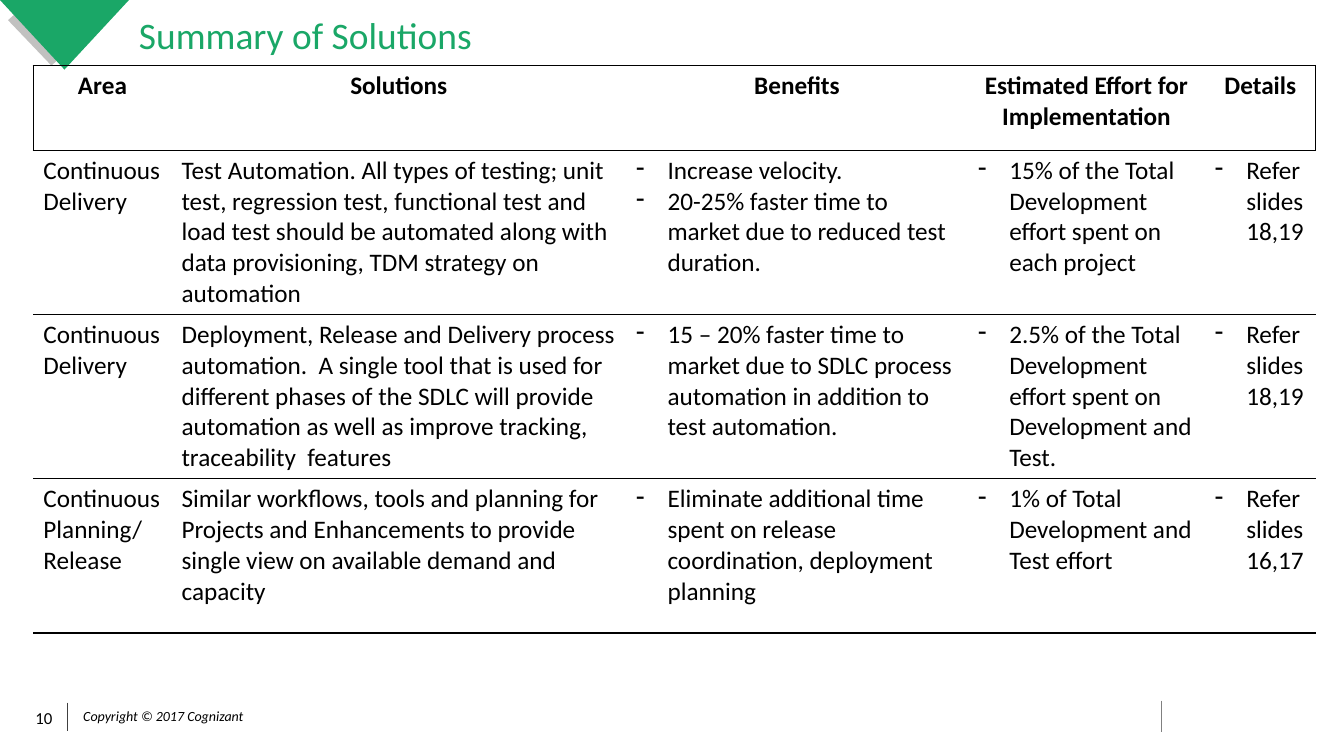
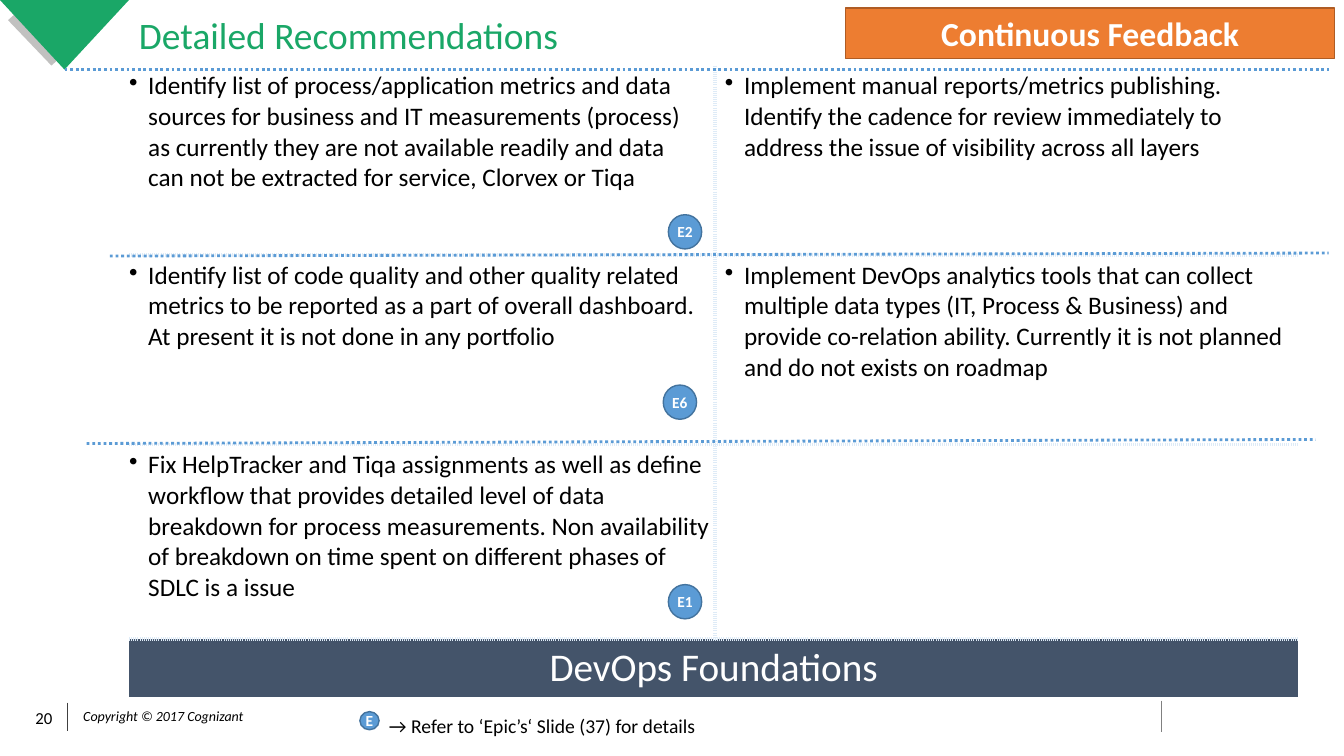
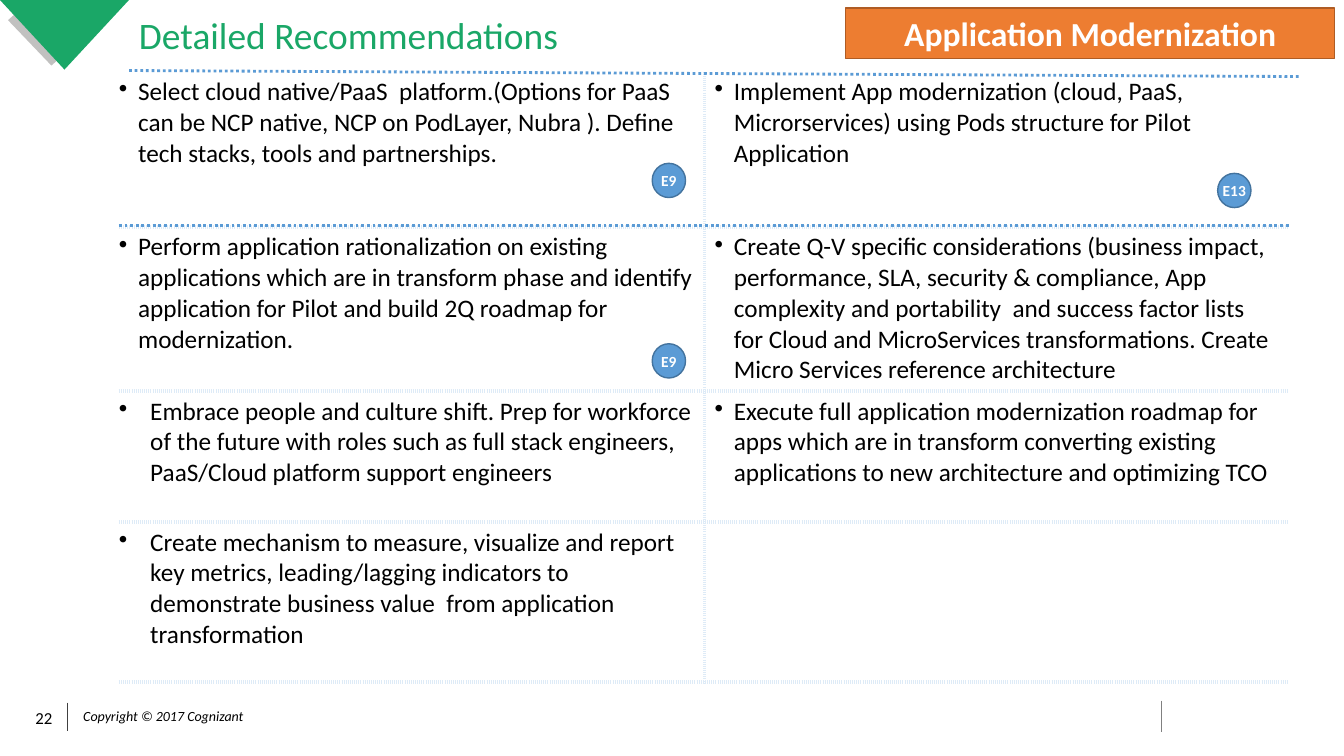
from dataclasses import dataclass, replace
from typing import NamedTuple, Optional, Sequence

from lxml.etree import SubElement
from pptx import Presentation
from pptx.dml.color import RGBColor
from pptx.enum.dml import MSO_LINE
from pptx.enum.shapes import MSO_CONNECTOR, MSO_SHAPE
from pptx.enum.text import MSO_ANCHOR as Anchor, PP_ALIGN as Align
from pptx.oxml.ns import qn
from pptx.util import Inches, Pt

WIDTH, HEIGHT = Inches(13.33), Inches(7.5)
FONT = "Calibri"
BLACK, WHITE = "000000", "FFFFFF"
GREEN, SHADE = "1AA767", "C1C1C0"
BLUE, BLUE_EDGE, PALE_BLUE = "5B9BD5", "43739E", "DEEBF7"
ORANGE, ORANGE_EDGE, SLATE = "ED7D31", "AF5C24", "44546A"
NO_TABLE_STYLE = "{2D5ABB26-0587-4C30-8999-92F81FD0307C}"
CELL_INSETS = (0.1, 0.05, 0.1, 0.05)


class Area(NamedTuple):
    """A rectangle in percent of the slide's width and height."""
    left: float
    top: float
    width: float
    height: float


class Rule(NamedTuple):
    """A straight line in percent of the slide's width and height."""
    x1: float
    y1: float
    x2: float
    y2: float


class Badge(NamedTuple):
    label: str
    left: float
    top: float


@dataclass(frozen=True)
class Style:
    size: float = 18
    color: str = BLACK
    bold: bool = False
    italic: bool = False
    align: Align = Align.LEFT
    spacing: Optional[float] = None
    bullet: str = ""
    indent: float = 0


@dataclass(frozen=True)
class Edge:
    color: str
    points: float
    dash: str = "solid"


@dataclass(frozen=True)
class Entry:
    """The paragraphs of a table cell and how they look."""
    texts: Sequence[str]
    style: Style


@dataclass(frozen=True)
class Recommendations:
    number: int
    tag: str
    left: float
    top: float
    rows: Sequence[float]
    entries: Sequence[Sequence[Entry]]
    rules: Sequence[Rule]
    badges: Sequence[Badge]
    foundation: str = ""


PLAIN = Style()
HEADING = Style(bold=True, align=Align.CENTER)
DASHED = Style(bullet="-", indent=2.33)
DOTTED = Style(bullet="•", indent=1.43)
DOTTED_WIDE = replace(DOTTED, indent=2.33)
TITLE = Style(size=26.7, color=GREEN, spacing=0.9)
TAG = Style(size=24, color=WHITE, bold=True, align=Align.CENTER)
BADGE = replace(TAG, size=11)
FOUNDATION = Style(size=28, color=WHITE, align=Align.CENTER)
COPYRIGHT = Style(size=10, italic=True, align=Align.CENTER)
NUMBER = Style(size=12, align=Align.CENTER)
LEGEND = Style(size=14)

BLACK_EDGE = Edge(BLACK, 1)
PALE_EDGE = Edge(PALE_BLUE, 3, "sysDot")


def across(percent: float) -> int:
    return round(WIDTH * percent / 100)


def down(percent: float) -> int:
    return round(HEIGHT * percent / 100)


def place(area: Area) -> tuple:
    return across(area.left), down(area.top), across(area.width), down(area.height)


def rgb(color: str) -> RGBColor:
    return RGBColor.from_string(color)


def paint(fill, color: str) -> None:
    fill.solid()
    fill.fore_color.rgb = rgb(color)


def set_insets(frame, insets: Sequence[float]) -> None:
    """Set the left, top, right and bottom margins, in inches."""
    (frame.margin_left, frame.margin_top,
     frame.margin_right, frame.margin_bottom) = map(Inches, insets)


def write(frame, texts: Sequence[str], style: Style) -> None:
    for index, text in enumerate(texts):
        para = frame.add_paragraph() if index else frame.paragraphs[0]
        para.add_run().text = text
        para.alignment = style.align
        if style.spacing:
            para.line_spacing = style.spacing
        if style.bullet:
            props = para._p.get_or_add_pPr()
            props.set("marL", str(across(style.indent)))
            props.set("indent", str(-across(style.indent)))
            SubElement(props, qn("a:buChar")).set("char", style.bullet)
        font = para.font
        font.name, font.size = FONT, Pt(style.size)
        font.bold, font.italic = style.bold, style.italic
        font.color.rgb = rgb(style.color)


def add_text(page, area: Area, text: str, style: Style, anchor=Anchor.MIDDLE,
             insets=CELL_INSETS, wrap: bool = True) -> None:
    frame = page.shapes.add_textbox(*place(area)).text_frame
    frame.word_wrap = wrap
    frame.vertical_anchor = anchor
    set_insets(frame, insets)
    write(frame, [text], style)


def add_label(page, kind, area: Area, text: str, style: Style,
              fill: str, edge: str, insets=CELL_INSETS) -> None:
    """Add a filled, outlined shape with centred text."""
    shape = page.shapes.add_shape(kind, *place(area))
    shape.shadow.inherit = False
    paint(shape.fill, fill)
    shape.line.color.rgb = rgb(edge)
    shape.line.width = Pt(1)
    shape.text_frame.vertical_anchor = Anchor.MIDDLE
    shape.text_frame.word_wrap = True
    set_insets(shape.text_frame, insets)
    write(shape.text_frame, [text], style)


def add_badge(page, badge: Badge, width: float = 2.48, height: float = 4.53) -> None:
    add_label(page, MSO_SHAPE.FLOWCHART_CONNECTOR,
              Area(badge.left, badge.top, width, height), badge.label,
              BADGE, BLUE, BLUE_EDGE, (0, 0.05, 0, 0.05))


def add_rule(page, rule: Rule, color: str, points: float, dash=None) -> None:
    line = page.shapes.add_connector(
        MSO_CONNECTOR.STRAIGHT, across(rule.x1), down(rule.y1),
        across(rule.x2), down(rule.y2))
    line.line.color.rgb = rgb(color)
    line.line.width = Pt(points)
    if dash:
        line.line.dash_style = dash
    SubElement(line._element.spPr, qn("a:effectLst"))


def add_outline(page, points: Sequence[tuple], color: str) -> None:
    corners = [(across(x), down(y)) for x, y in points]
    builder = page.shapes.build_freeform(*corners[0])
    builder.add_line_segments(corners[1:], close=True)
    shape = builder.convert_to_shape()
    shape.shadow.inherit = False
    paint(shape.fill, color)
    shape.line.fill.background()


def add_plain_table(page, left: float, top: float,
                    columns: Sequence[float], rows: Sequence[float]):
    """Add a table without style; all sizes in percent of the slide."""
    area = Area(left, top, sum(columns), sum(rows))
    table = page.shapes.add_table(len(rows), len(columns), *place(area)).table
    table.first_row = table.horz_banding = False
    table._tbl.tblPr.find(qn("a:tableStyleId")).text = NO_TABLE_STYLE
    for column, width in zip(table.columns, columns):
        column.width = across(width)
    for row, height in zip(table.rows, rows):
        row.height = down(height)
    return table


def fill_cell(cell, entry: Optional[Entry], sides: str, edge: Edge,
              insets=CELL_INSETS, fill: str = "") -> None:
    """Write a cell and rule the sides named by the letters L, R, T and B."""
    props = cell._tc.get_or_add_tcPr()
    for side in (letter for letter in "LRTB" if letter in sides):
        border = SubElement(props, qn(f"a:ln{side}"), w=str(Pt(edge.points)))
        solid = SubElement(border, qn("a:solidFill"))
        SubElement(solid, qn("a:srgbClr"), val=edge.color)
        SubElement(border, qn("a:prstDash"), val=edge.dash)
    if fill:
        paint(cell.fill, fill)
    else:
        cell.fill.background()
    set_insets(cell, insets)
    if entry:
        write(cell.text_frame, entry.texts, entry.style)


def add_page(deck, title: str, number: int):
    """Add a slide with the corner mark, title and footer."""
    page = deck.slides.add_slide(deck.slide_layouts[6])
    add_rule(page, Rule(5.03, 92.93, 5.03, 96.67), "404040", 0.5)
    add_rule(page, Rule(86.4, 92.67, 86.4, 96.8), "808080", 0.5)
    add_outline(page, [(4.5, 7.6), (3.83, 8.67), (0.6, 2.67), (1.28, 1.6)], SHADE)
    add_outline(page, [(4.8, 9.2), (9.6, 0), (0, 0)], GREEN)
    add_text(page, Area(5.4, 93.2, 13.5, 3.07), "Copyright © 2017 Cognizant",
             COPYRIGHT, insets=(0.06, 0.03, 0.06, 0.03))
    add_text(page, Area(1.2, 92.93, 4.13, 4), str(number), NUMBER, insets=(0,) * 4)
    add_text(page, Area(9.6, 1.2, 88.3, 7.47), title, TITLE)
    return page


def add_summary(deck) -> None:
    page = add_page(deck, "Summary of Solutions", 10)
    table = add_plain_table(page, 2.48, 8.67, (10.28, 33.83, 25.43, 17.63, 8.25),
                            (11.2, 21.73, 21.73, 20.4))
    last = len(SUMMARY_HEADINGS) - 1
    for column, heading in enumerate(SUMMARY_HEADINGS):
        sides = "TB" + ("L" if column == 0 else "R" if column == last else "")
        fill_cell(table.cell(0, column), Entry([heading], HEADING), sides, BLACK_EDGE)
    for row, texts in enumerate(SUMMARY_ROWS, start=1):
        for column, text in enumerate(texts):
            style = PLAIN if column < 2 else DASHED
            fill_cell(table.cell(row, column), Entry(text.split("\n"), style),
                      "TB", BLACK_EDGE)


def add_recommendations(deck, plan: Recommendations) -> None:
    page = add_page(deck, "Detailed Recommendations", plan.number)
    table = add_plain_table(page, plan.left, plan.top, (43.58, 43.43), plan.rows)
    for row, entries in enumerate(plan.entries):
        top = "T" if row else ""
        left_insets = (0, 0.05, 0.1 if row < 2 else 0, 0.05)
        pair = (*entries, None)[:2]
        for column, (entry, side, insets) in enumerate(
                zip(pair, "RL", (left_insets, CELL_INSETS))):
            fill_cell(table.cell(row, column), entry, side + top + "B",
                      PALE_EDGE, insets)
    if plan.foundation:
        row = len(plan.entries)
        band = table.cell(row, 0)
        band.merge(table.cell(row, 1))
        band.vertical_anchor = Anchor.MIDDLE
        fill_cell(band, Entry([plan.foundation], FOUNDATION), "T", PALE_EDGE, fill=SLATE)
    for rule in plan.rules:
        add_rule(page, rule, BLUE, 2, MSO_LINE.ROUND_DOT)
    add_label(page, MSO_SHAPE.RECTANGLE, Area(62.93, 1.07, 36.38, 6.67),
              plan.tag, TAG, ORANGE, ORANGE_EDGE)
    for badge in plan.badges:
        add_badge(page, badge)
    if plan.foundation:
        add_badge(page, Badge("E", 26.78, 94.13), 1.43, 2.4)
        add_text(page, Area(28.2, 93.73, 24.6, 4.53),
                 "→ Refer to ‘Epic’s‘ Slide (37) for details", LEGEND,
                 Anchor.TOP, wrap=False)


def dotted(*texts: str, style: Style = DOTTED) -> Sequence[Entry]:
    return [Entry([text], style) for text in texts]


SUMMARY_HEADINGS = ("Area", "Solutions", "Benefits",
                    "Estimated Effort for Implementation", "Details")
SUMMARY_ROWS = (
    ("Continuous Delivery",
     "Test Automation. All types of testing; unit test, regression test, functional "
     "test and load test should be automated along with data provisioning, TDM "
     "strategy on automation",
     "Increase velocity.\n20-25% faster time to market due to reduced test duration.",
     "15% of the Total Development effort spent on each project",
     "Refer slides 18,19"),
    ("Continuous Delivery",
     "Deployment, Release and Delivery process automation.  A single tool that is "
     "used for different phases of the SDLC will provide automation as well as "
     "improve tracking, traceability  features",
     "15 – 20% faster time to market due to SDLC process automation in addition to "
     "test automation.",
     "2.5% of the Total Development effort spent on Development and Test.",
     "Refer slides 18,19"),
    ("Continuous Planning/ Release",
     "Similar workflows, tools and planning for Projects and Enhancements to provide "
     "single view on available demand and capacity",
     "Eliminate additional time spent on release coordination, deployment planning",
     "1% of Total Development and Test effort",
     "Refer slides 16,17"),
)

FEEDBACK = Recommendations(
    number=20, tag="Continuous Feedback", left=9.6, top=8.67,
    rows=(25.07, 25.07, 25.73, 7.73),
    entries=(
        dotted("Identify list of process/application metrics and data sources for "
               "business and IT measurements (process) as currently they are not "
               "available readily and data can not be extracted for service, "
               "Clorvex or Tiqa",
               "Implement manual reports/metrics publishing. Identify the cadence for "
               "review immediately to address the issue of visibility across all layers"),
        dotted("Identify list of code quality and other quality related metrics to be "
               "reported as a part of overall dashboard. At present it is not done in "
               "any portfolio",
               "Implement DevOps analytics tools that can collect multiple data types "
               "(IT, Process & Business) and provide co-relation ability. Currently it "
               "is not planned and do not exists on roadmap"),
        dotted("Fix HelpTracker and Tiqa assignments as well as define workflow that "
               "provides detailed level of data breakdown for process measurements. "
               "Non availability of breakdown on time spent on different phases of "
               "SDLC is a issue"),
    ),
    rules=(Rule(8.18, 33.87, 98.85, 33.47), Rule(4.8, 9.2, 98.85, 9.2),
           Rule(6.45, 58.67, 97.88, 58.13)),
    badges=(Badge("E2", 49.73, 28.4), Badge("E6", 49.35, 50.93),
            Badge("E1", 49.73, 77.33)),
    foundation="DevOps Foundations",
)

MODERNIZATION = Recommendations(
    number=22, tag="Application Modernization", left=8.85, top=9.47,
    rows=(20.53, 21.73, 17.33, 21.2),
    entries=(
        dotted("Select cloud native/PaaS  platform.(Options for PaaS can be NCP native, "
               "NCP on PodLayer, Nubra ). Define tech stacks, tools and partnerships.",
               "Implement App modernization (cloud, PaaS, Microrservices) using Pods "
               "structure for Pilot Application"),
        dotted("Perform application rationalization on existing applications which are "
               "in transform phase and identify application for Pilot and build 2Q "
               "roadmap for modernization.",
               "Create Q-V specific considerations (business impact, performance, SLA, "
               "security & compliance, App complexity and portability  and success "
               "factor lists for Cloud and MicroServices transformations. Create Micro "
               "Services reference architecture"),
        [*dotted("Embrace people and culture shift. Prep for workforce of the future "
                 "with roles such as full stack engineers, PaaS/Cloud platform support "
                 "engineers", style=DOTTED_WIDE),
         *dotted("Execute full application modernization roadmap for apps which are in "
                 "transform converting existing applications to new architecture and "
                 "optimizing TCO")],
        dotted("Create mechanism to measure, visualize and report key metrics, "
               "leading/lagging indicators to demonstrate business value  from "
               "application transformation", style=DOTTED_WIDE),
    ),
    rules=(Rule(8.85, 29.87, 95.93, 29.87), Rule(9.6, 9.33, 96.68, 10.13)),
    badges=(Badge("E9", 48.53, 21.6), Badge("E13", 90.6, 22.93),
            Badge("E9", 48.53, 45.47)),
)


def main() -> None:
    deck = Presentation()
    deck.slide_width, deck.slide_height = WIDTH, HEIGHT
    add_summary(deck)
    for plan in (FEEDBACK, MODERNIZATION):
        add_recommendations(deck, plan)
    deck.save("out.pptx")


if __name__ == "__main__":
    main()
